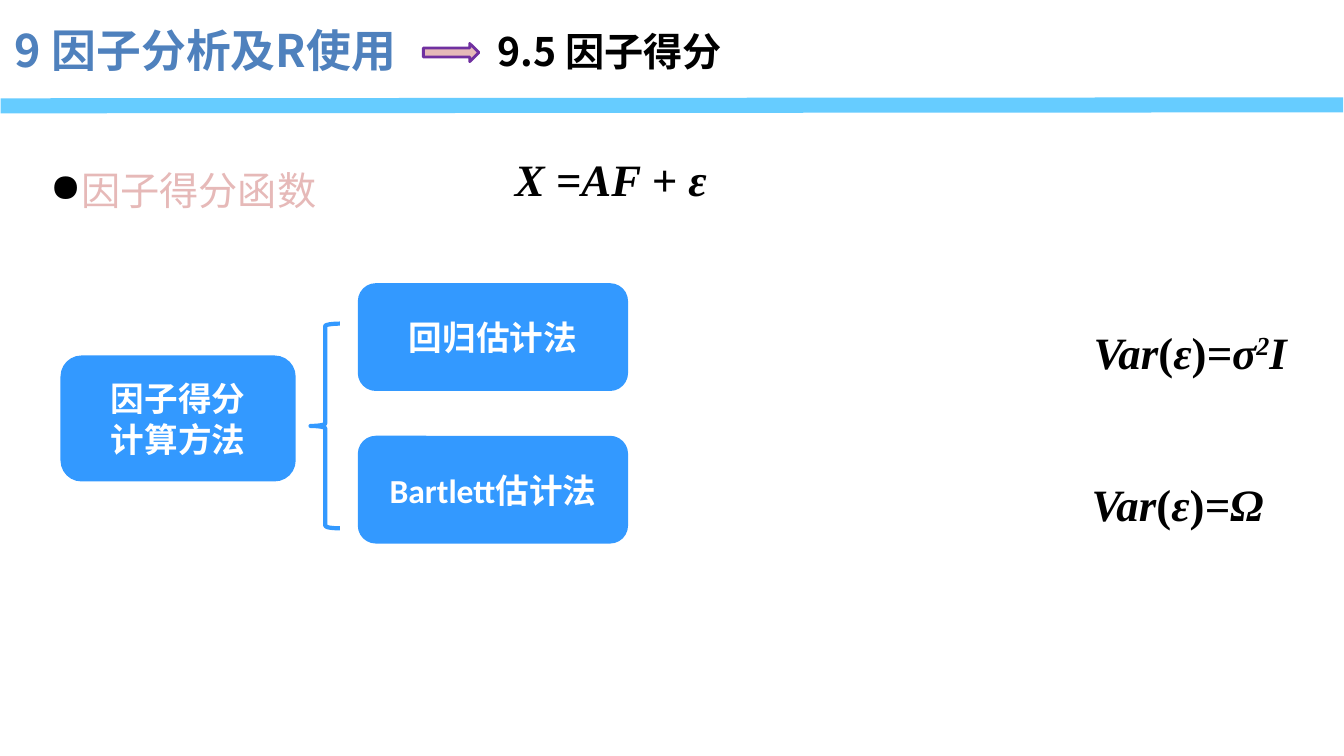
"""Build the slide on factor scores and the two ways to estimate them."""
from lxml import etree
from pptx import Presentation
from pptx.dml.color import RGBColor
from pptx.enum.shapes import MSO_CONNECTOR, MSO_SHAPE
from pptx.enum.text import MSO_ANCHOR, PP_ALIGN
from pptx.oxml.ns import qn
from pptx.util import Pt

ROUND, BRACE, ARROW = MSO_SHAPE.ROUNDED_RECTANGLE, MSO_SHAPE.LEFT_BRACE, MSO_SHAPE.RIGHT_ARROW
STRAIGHT = MSO_CONNECTOR.STRAIGHT
CENTER, JUSTIFY, LEFT = PP_ALIGN.CENTER, PP_ALIGN.JUSTIFY, PP_ALIGN.LEFT
MIDDLE, TOP = MSO_ANCHOR.MIDDLE, MSO_ANCHOR.TOP

THEME = {
    "black": "000000", "white": "FFFFFF", "title": "4F81BD", "rule": "66CCFF",
    "box": "3399FF", "pink": "E6B9B8", "edge": "7030A0", "rim": "C0504D",
    "cjk": "Noto Sans CJK SC", "body": "Calibri", "math": "Times New Roman",
    "large": 32, "mid": 28, "small": 24,
}

CHAPTER = "9 因子分析及R使用"
SECTION = "9.5 因子得分"
TOPIC = "因子得分函数"
ROOT = "因子得分\n计算方法"
METHODS = ["回归估计法", "Bartlett估计法"]
VAR = [("Var", "i"), ("(", ""), ("ε", "i"), (")", "")]
MODEL = [("X =AF + ε", "i")]
EQUAL = VAR + [("=σ", "i"), ("2", "is"), ("I", "i")]
OMEGA = VAR + [("=Ω", "i")]
FORMULAS = [(MODEL, 360.7, 105.1, 163.4), (EQUAL, 774, 228.2, 166.3), (OMEGA, 772.6, 337, 148.3)]

WIDE, HIGH = 960, 540
METHOD_X, METHOD_Y, METHOD_W, METHOD_H, STEP = 255.6, 202.3, 193, 77, 109
ROOT_X, ROOT_W, ROOT_H = 43.2, 168, 90
BRACE_X, BRACE_W, BRACE_H = 221.8, 21, 146.2


def color(name):
    return RGBColor.from_string(THEME[name])


def style(run, face, size, ink, bold=True):
    font = run.font
    font.name, font.size, font.bold = THEME[face], Pt(THEME[size]), bold
    font.color.rgb = color(ink)
    east = etree.SubElement(font._element, qn("a:ea"))
    east.set("typeface", THEME["math" if face == "math" else "cjk"])


def write(frame, text, face, size, ink, bold=True, align=LEFT, anchor=TOP):
    frame.text = text
    frame.word_wrap = True
    frame.vertical_anchor = anchor
    for para in frame.paragraphs:
        para.alignment = align
        for run in para.runs:
            style(run, face, size, ink, bold)


def text_box(slide, x, y, w, h):
    return slide.shapes.add_textbox(Pt(x), Pt(y), Pt(w), Pt(h)).text_frame


def add_form(slide, kind, x, y, w, h, fill=None, line=None, weight=0):
    form = slide.shapes.add_shape(kind, Pt(x), Pt(y), Pt(w), Pt(h))
    form.shadow.inherit = False
    if fill:
        form.fill.solid()
        form.fill.fore_color.rgb = color(fill)
    else:
        form.fill.background()
    if line:
        form.line.color.rgb = color(line)
        form.line.width = Pt(weight)
    else:
        form.line.fill.background()
    return form


def add_head(slide):
    write(text_box(slide, 348.5, 15.8, 341.3, 41), SECTION, "cjk", "mid", "black")
    write(text_box(slide, 3.6, 13, 438.5, 46), CHAPTER, "cjk", "large", "title")
    rule = slide.shapes.add_connector(STRAIGHT, Pt(5.8), Pt(75.6), Pt(954), Pt(74.9))
    rule.line.color.rgb = color("rule")
    rule.line.width = Pt(10.75)
    rule.line._get_or_add_ln().set("cap", "sq")
    etree.SubElement(rule._element.spPr, qn("a:effectLst"))
    add_form(slide, ARROW, 302.4, 31, 39.6, 13, "pink", "edge", 2)


def add_topic(slide):
    frame = text_box(slide, 28.8, 98.6, 826.6, 108.7)
    write(frame, TOPIC, "cjk", "mid", "pink", False, JUSTIFY)
    para = frame.paragraphs[0]
    para.line_spacing = 1.5
    props = para._p.get_or_add_pPr()
    tint = etree.SubElement(etree.SubElement(props, qn("a:buClr")), qn("a:srgbClr"))
    tint.set("val", THEME["black"])
    etree.SubElement(props, qn("a:buChar")).set("char", "●")
    rim = etree.Element(qn("a:ln"), w=str(Pt(1.75)))
    ink = etree.SubElement(etree.SubElement(rim, qn("a:solidFill")), qn("a:srgbClr"))
    ink.set("val", THEME["rim"])
    para.runs[0].font._element.insert(0, rim)


def add_tree(slide):
    mid = METHOD_Y + (STEP + METHOD_H) / 2
    boxes = [(name, METHOD_X, METHOD_Y + i * STEP, METHOD_W, METHOD_H)
             for i, name in enumerate(METHODS)]
    boxes.append((ROOT, ROOT_X, mid + 3.6 - ROOT_H / 2, ROOT_W, ROOT_H))
    for text, *place in boxes:
        box = add_form(slide, ROUND, *place, "box")
        write(box.text_frame, text, "body", "small", "white", align=CENTER, anchor=MIDDLE)
    top = mid + 9 - BRACE_H / 2
    add_form(slide, BRACE, BRACE_X, top, BRACE_W, BRACE_H, line="box", weight=3)


def add_formula(slide, parts, x, y, w):
    frame = text_box(slide, x, y, w, 46)
    frame.word_wrap = False
    for text, marks in parts:
        run = frame.paragraphs[0].add_run()
        run.text = text
        style(run, "math", "large", "black")
        run.font.italic = "i" in marks
        if "s" in marks:
            run.font._element.set("baseline", "30000")


def main():
    deck = Presentation()
    deck.slide_width, deck.slide_height = Pt(WIDE), Pt(HIGH)
    slide = deck.slides.add_slide(deck.slide_layouts[6])
    add_head(slide)
    add_topic(slide)
    add_tree(slide)
    for formula in FORMULAS:
        add_formula(slide, *formula)
    deck.save("out.pptx")


if __name__ == "__main__":
    main()
